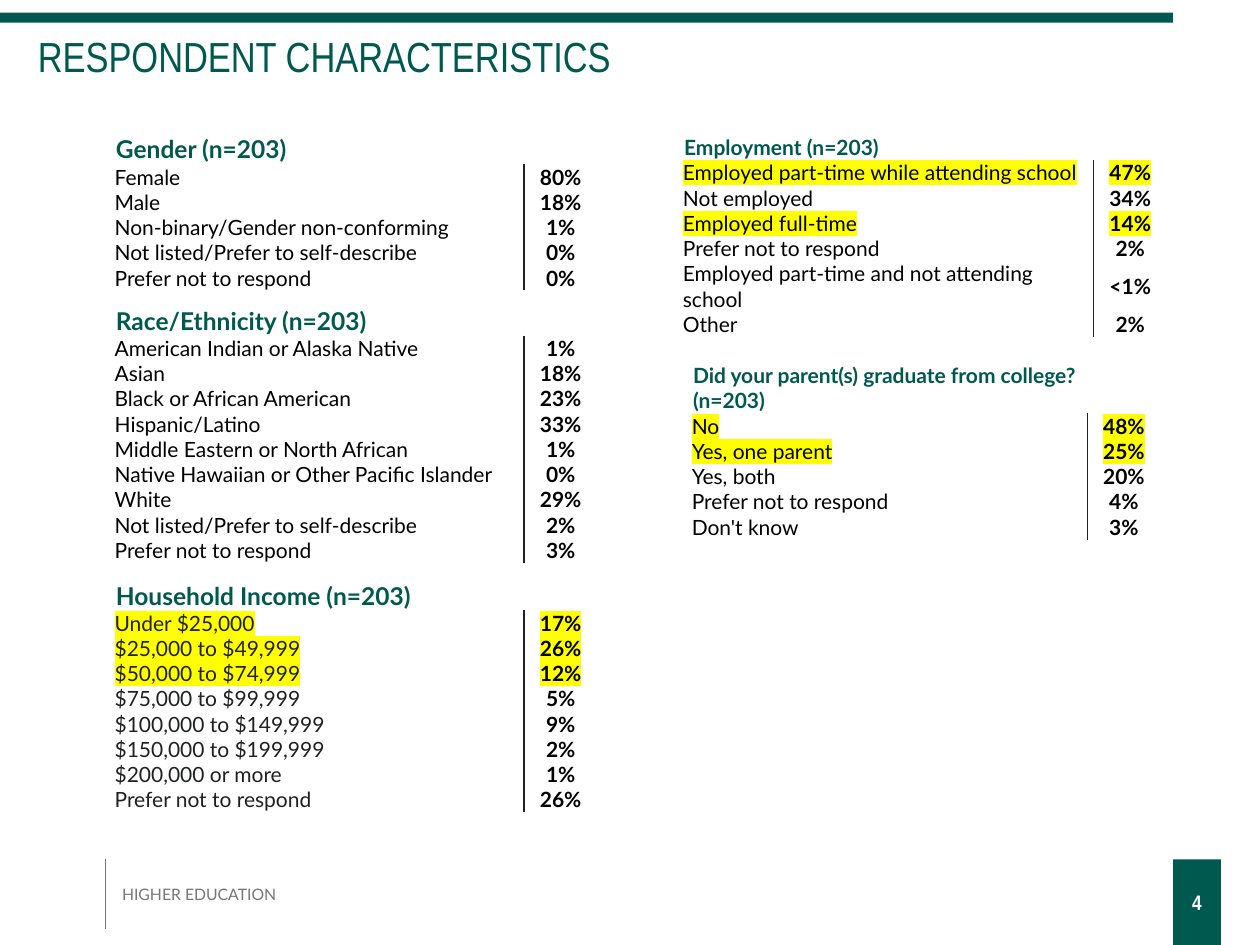
from lxml.etree import SubElement
from pptx import Presentation
from pptx.dml.color import RGBColor
from pptx.enum.shapes import MSO_CONNECTOR, MSO_SHAPE
from pptx.enum.text import MSO_ANCHOR, PP_ALIGN
from pptx.oxml import parse_xml
from pptx.oxml.ns import nsdecls, qn
from pptx.util import Inches, Pt

COLORS = {
    "green": "00594E",
    "gray": "767779",
    "ink": "1F2021",
    "black": "000000",
    "white": "FFFFFF",
    "yellow": "FFFF00",
}
BODY_FONT, TITLE_FONT = "Lato", "Arial Narrow"
NO_TABLE_STYLE = "{2D5ABB26-0587-4C30-8999-92F81FD0307C}"
VALUE_WIDTH, ROW_HEIGHT = 0.58, 0.2

# Rows are (label, value, highlighted).
GENDER = [
    ("Female", "80%", False),
    ("Male", "18%", False),
    ("Non-binary/Gender non-conforming", "1%", False),
    ("Not listed/Prefer to self-describe", "0%", False),
    ("Prefer not to respond", "0%", False),
]
RACE = [
    ("American Indian or Alaska Native", "1%", False),
    ("Asian", "18%", False),
    ("Black or African American", "23%", False),
    ("Hispanic/Latino", "33%", False),
    ("Middle Eastern or North African", "1%", False),
    ("Native Hawaiian or Other Pacific Islander", "0%", False),
    ("White", "29%", False),
    ("Not listed/Prefer to self-describe", "2%", False),
    ("Prefer not to respond", "3%", False),
]
INCOME = [
    ("Under $25,000", "17%", True),
    ("$25,000 to $49,999", "26%", True),
    ("$50,000 to $74,999", "12%", True),
    ("$75,000 to $99,999", "5%", False),
    ("$100,000 to $149,999", "9%", False),
    ("$150,000 to $199,999", "2%", False),
    ("$200,000 or more", "1%", False),
    ("Prefer not to respond", "26%", False),
]
EMPLOYMENT = [
    ("Employed part-time while attending school", "47%", True),
    ("Not employed", "34%", False),
    ("Employed full-time", "14%", True),
    ("Prefer not to respond", "2%", False),
    ("Employed part-time and not attending school", "<1%", False),
    ("Other", "2%", False),
]
PARENTS = [
    ("No", "48%", True),
    ("Yes, one parent", "25%", True),
    ("Yes, both", "20%", False),
    ("Prefer not to respond", "4%", False),
    ("Don't know", "3%", False),
]


def rgb(color):
    return RGBColor.from_string(COLORS[color])


def style(paragraph, size, color, bold=False, font=BODY_FONT):
    paragraph.font.name = font
    paragraph.font.size = Pt(size)
    paragraph.font.bold = bold
    paragraph.font.color.rgb = rgb(color)


def highlight(run):
    marker = SubElement(run._r.get_or_add_rPr(), qn("a:highlight"))
    SubElement(marker, qn("a:srgbClr"), val=COLORS["yellow"])


def add_border(cell, side):
    cell._tc.get_or_add_tcPr().insert(0, parse_xml(
        f'<a:ln{side} {nsdecls("a")} w="12700"><a:solidFill>'
        f'<a:srgbClr val="{COLORS["ink"]}"/></a:solidFill></a:ln{side}>'))


def fill_cell(cell, text, size, color, bold, marked=False):
    cell.margin_left = cell.margin_right = cell.margin_top = cell.margin_bottom = 0
    cell.vertical_anchor = MSO_ANCHOR.MIDDLE
    cell.fill.background()
    cell.text = text
    for paragraph in cell.text_frame.paragraphs:
        style(paragraph, size, color, bold)
        if marked:
            highlight(paragraph.runs[0])


def add_breakdown(slide, left, top, label_width, heading, rows,
                  heading_size=14, heading_height=0.24, label_color="black"):
    """Table of answers with their shares under a heading that spans both columns."""
    table = slide.shapes.add_table(
        len(rows) + 1, 2, Inches(left), Inches(top), Inches(label_width + VALUE_WIDTH),
        Inches(heading_height + ROW_HEIGHT * len(rows))).table
    table.first_row = table.horz_banding = False
    table._tbl.tblPr.find(qn("a:tableStyleId")).text = NO_TABLE_STYLE
    table.columns[0].width = Inches(label_width)
    table.columns[1].width = Inches(VALUE_WIDTH)

    heading_cell = table.cell(0, 0)
    heading_cell.merge(table.cell(0, 1))
    fill_cell(heading_cell, heading, heading_size, "green", True)
    heading_cell.vertical_anchor = MSO_ANCHOR.BOTTOM
    heading_cell.margin_left = heading_cell.margin_right = Inches(0.01)
    heading_cell.margin_top = Inches(0.01)
    table.rows[0].height = Inches(heading_height)

    for index, (label, value, marked) in enumerate(rows, start=1):
        table.rows[index].height = Inches(ROW_HEIGHT)
        label_cell, value_cell = table.cell(index, 0), table.cell(index, 1)
        fill_cell(label_cell, label, 12, label_color, False, marked)
        fill_cell(value_cell, value, 12, "black", True, marked)
        value_cell.text_frame.paragraphs[0].alignment = PP_ALIGN.CENTER
        add_border(label_cell, "R")
        add_border(value_cell, "L")


def add_bar(slide, left, top, width, height):
    bar = slide.shapes.add_shape(MSO_SHAPE.RECTANGLE, Inches(left), Inches(top),
                                 Inches(width), Inches(height))
    bar.shadow.inherit = False
    bar.fill.solid()
    bar.fill.fore_color.rgb = rgb("green")
    bar.line.fill.background()


def add_text(slide, left, top, width, height, text):
    frame = slide.shapes.add_textbox(Inches(left), Inches(top),
                                     Inches(width), Inches(height)).text_frame
    frame.word_wrap = True
    frame.text = text
    return frame


def add_header(slide, left, top, width):
    add_bar(slide, left, top, width, 0.08)
    title = add_text(slide, left, top, width, 0.64, "RESPONDENT CHARACTERISTICS")
    title.vertical_anchor = MSO_ANCHOR.MIDDLE
    title.margin_left, title.margin_top = Inches(0.3), Inches(0.15)
    title.paragraphs[0].line_spacing = 0.9
    style(title.paragraphs[0], 24, "green", font=TITLE_FONT)


def add_footer(slide, left, top):
    rule = slide.shapes.add_connector(MSO_CONNECTOR.STRAIGHT, Inches(left), Inches(top),
                                      Inches(left), Inches(top + 0.55))
    rule.line.color.rgb = rgb("gray")
    rule.line.width = Pt(0.75)
    SubElement(rule._element.spPr, qn("a:effectLst"))
    section = add_text(slide, left + 0.03, top + 0.15, 2.05, 0.25, "HIGHER EDUCATION")
    style(section.paragraphs[0], 9, "gray")


def add_page_number(slide, left, top):
    add_bar(slide, left, top, 0.38, 0.68)
    number = add_text(slide, left - 0.06, top + 0.13, 0.5, 0.42, "4")
    number.vertical_anchor = MSO_ANCHOR.MIDDLE
    number.paragraphs[0].alignment = PP_ALIGN.CENTER
    style(number.paragraphs[0], 12, "white", True, TITLE_FONT)


def main():
    presentation = Presentation()
    presentation.slide_width, presentation.slide_height = Inches(10), Inches(7.5)
    slide = presentation.slides.add_slide(presentation.slide_layouts[6])

    add_header(slide, 0, 0.1, 9.31)
    add_footer(slide, 0.84, 6.82)
    add_page_number(slide, 9.31, 6.82)

    add_breakdown(slide, 0.91, 1.06, 3.25, "Gender (n=203)", GENDER)
    add_breakdown(slide, 0.91, 2.42, 3.25, "Race/Ethnicity (n=203)", RACE)
    add_breakdown(slide, 0.91, 4.6, 3.25, "Household Income (n=203)", INCOME,
                  label_color="ink")
    add_breakdown(slide, 5.42, 1.06, 3.26, "Employment (n=203)", EMPLOYMENT,
                  heading_size=12, heading_height=0.21)
    add_breakdown(slide, 5.49, 2.87, 3.14,
                  "Did your parent(s) graduate from college?\n(n=203)", PARENTS,
                  heading_size=12, heading_height=0.41)
    presentation.save("out.pptx")


if __name__ == "__main__":
    main()
